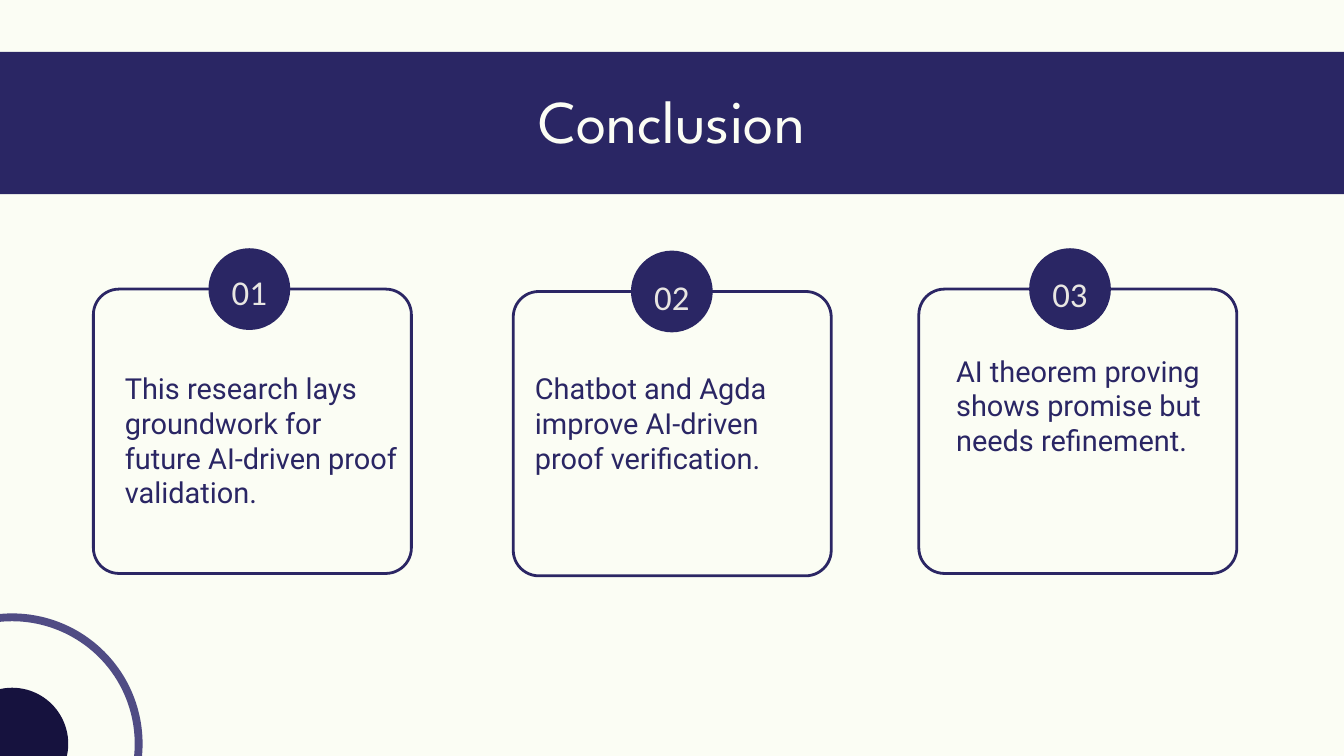
from dataclasses import dataclass

from pptx import Presentation
from pptx.dml.color import RGBColor
from pptx.enum.shapes import MSO_SHAPE
from pptx.enum.text import PP_ALIGN
from pptx.util import Cm, Pt

RECTANGLE, ROUNDED = MSO_SHAPE.RECTANGLE, MSO_SHAPE.ROUNDED_RECTANGLE
OVAL, DONUT = MSO_SHAPE.OVAL, MSO_SHAPE.DONUT
LEFT, CENTER = PP_ALIGN.LEFT, PP_ALIGN.CENTER

COLORS = {
    "background": "FBFDF4",
    "navy": "2A2664",
    "outline": "2B2664",
    "number": "E8E6E2",
    "ring": "504C84",
    "dot": "16123E",
}

# Sizes in centimetres
PAGE_WIDTH, PAGE_HEIGHT = 50.8, 28.58
CARD_WIDTH, CARD_HEIGHT, CARD_ROUNDING = 12.02, 10.75, 0.09
BADGE_SIZE = 3.09
NUMBER_WIDTH, NUMBER_HEIGHT = 2.13, 1.52


@dataclass
class Frame:
    left: float
    top: float
    width: float
    height: float

    def lengths(self) -> tuple:
        return Cm(self.left), Cm(self.top), Cm(self.width), Cm(self.height)


@dataclass
class TextStyle:
    font: str
    size: float
    color: str
    spacing: float
    align: int = LEFT


@dataclass
class Card:
    number: str
    text: str
    left: float
    top: float
    badge_left: float
    number_top: float
    text_frame: Frame


TITLE = TextStyle("League Spartan", 65, "background", 65, CENTER)
NUMBER = TextStyle("Calibri", 37.3, "number", 42.9, CENTER)
BODY = TextStyle("Roboto", 31, "navy", 37.2)

CARDS = [
    Card("01", "This research lays groundwork for future AI-driven proof validation.",
         3.53, 10.93, 7.88, 10.29, Frame(4.72, 14.02, 10.36, 5.18)),
    Card("02", "Chatbot and Agda improve AI-driven proof verification.",
         19.4, 11.02, 23.85, 10.49, Frame(20.22, 14.02, 10.36, 5.18)),
    Card("03", "AI theorem proving shows promise but needs refinement.",
         34.73, 10.93, 38.9, 10.39, Frame(36.14, 13.36, 10.01, 6.48)),
]


def color(name: str) -> RGBColor:
    return RGBColor.from_string(COLORS[name])


def add_filled(page, kind, frame: Frame, fill: str):
    shape = page.shapes.add_shape(kind, *frame.lengths())
    shape.shadow.inherit = False
    shape.fill.solid()
    shape.fill.fore_color.rgb = color(fill)
    shape.line.fill.background()
    return shape


def add_outline(page, frame: Frame) -> None:
    shape = page.shapes.add_shape(ROUNDED, *frame.lengths())
    shape.shadow.inherit = False
    shape.adjustments[0] = CARD_ROUNDING
    shape.fill.background()
    shape.line.color.rgb = color("outline")
    shape.line.width = Pt(3)


def add_text(page, frame: Frame, text: str, style: TextStyle) -> None:
    box = page.shapes.add_textbox(*frame.lengths()).text_frame
    box_format = {"word_wrap": True, "margin_left": 0, "margin_right": 0,
                  "margin_top": 0, "margin_bottom": 0}
    for name, value in box_format.items():
        setattr(box, name, value)
    para = box.paragraphs[0]
    para.alignment = style.align
    para.line_spacing = Pt(style.spacing)
    span = para.add_run()
    span.text = text
    for name, value in {"name": style.font, "size": Pt(style.size)}.items():
        setattr(span.font, name, value)
    span.font.color.rgb = color(style.color)


def add_card(page, card: Card) -> None:
    add_outline(page, Frame(card.left, card.top, CARD_WIDTH, CARD_HEIGHT))
    # The badge straddles the top edge of the card
    badge_top = card.top - BADGE_SIZE / 2
    add_filled(page, OVAL, Frame(card.badge_left, badge_top, BADGE_SIZE, BADGE_SIZE), "navy")
    number_left = card.badge_left + (BADGE_SIZE - NUMBER_WIDTH) / 2
    add_text(page, Frame(number_left, card.number_top, NUMBER_WIDTH, NUMBER_HEIGHT),
             card.number, NUMBER)
    add_text(page, card.text_frame, card.text, BODY)


def add_corner(page) -> None:
    def centred(size: float) -> Frame:
        return Frame(0.46 - size / 2, 28.12 - size / 2, size, size)

    ring = add_filled(page, DONUT, centred(9.86), "ring")
    ring.adjustments[0] = 0.03
    add_filled(page, OVAL, centred(4.24), "dot")


def main() -> None:
    deck = Presentation()
    deck.slide_width, deck.slide_height = Cm(PAGE_WIDTH), Cm(PAGE_HEIGHT)
    page = deck.slides.add_slide(deck.slide_layouts[6])
    page.background.fill.solid()
    page.background.fill.fore_color.rgb = color("background")

    # Title band, running past both edges
    add_filled(page, RECTANGLE, Frame(-3.12, 1.96, 57.05, 5.38), "navy")
    add_text(page, Frame(18.49, 3.61, 13.79, 2.41), "Conclusion", TITLE)

    # Numbered conclusions
    for card in CARDS:
        add_card(page, card)

    # Corner ornament
    add_corner(page)
    deck.save("out.pptx")


if __name__ == "__main__":
    main()
